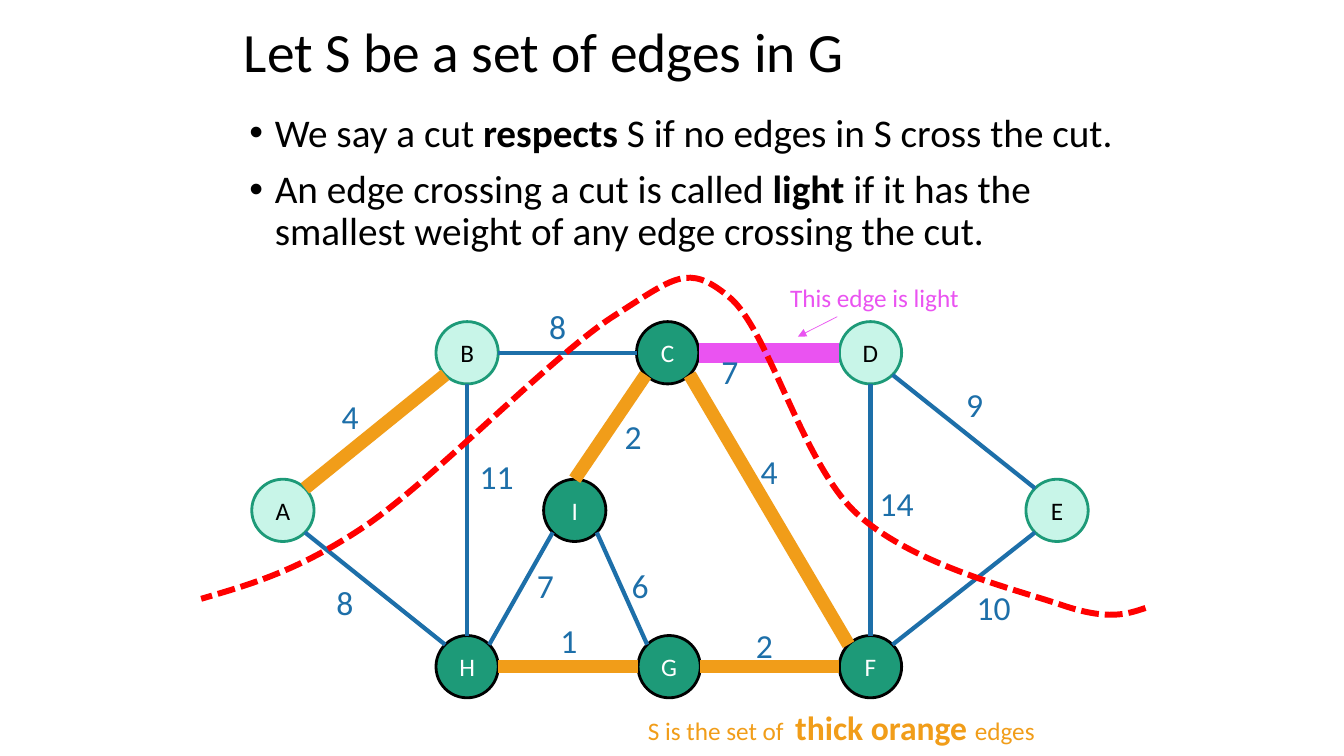
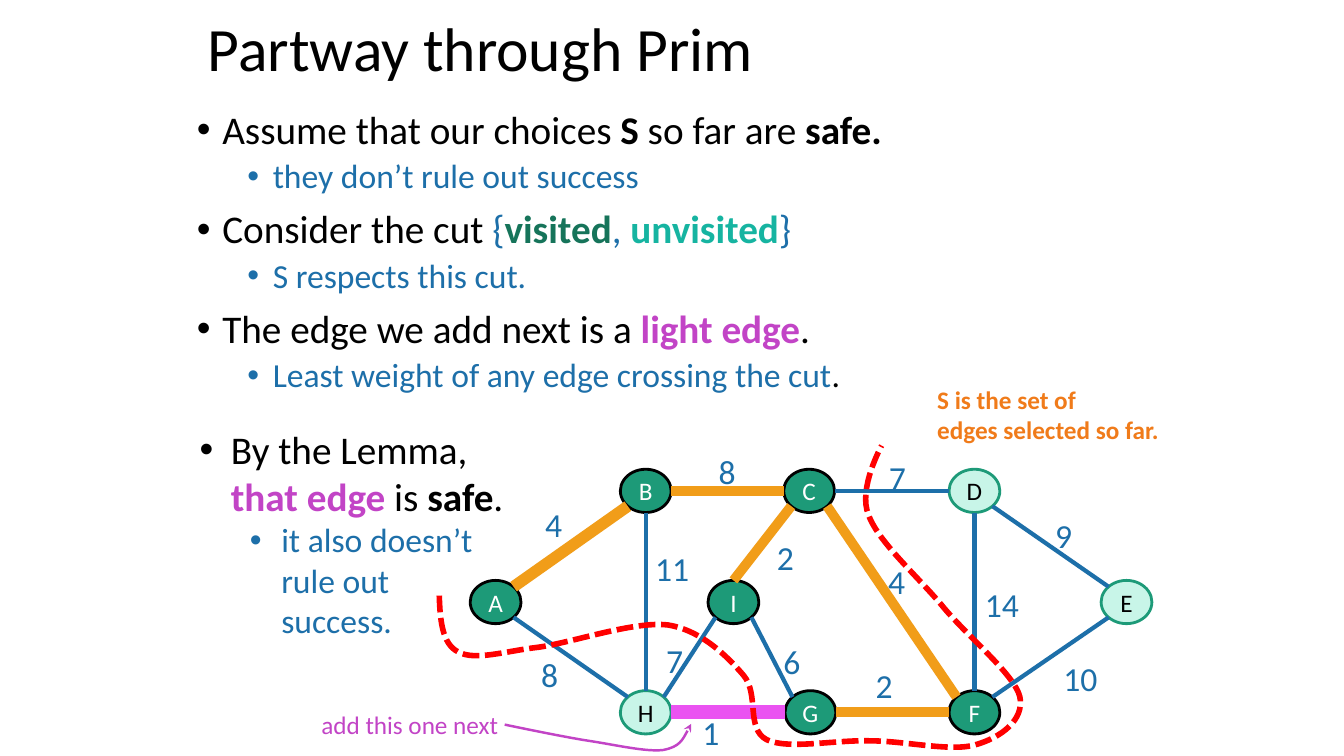
from dataclasses import dataclass
from math import sqrt

from pptx import Presentation
from pptx.dml.color import RGBColor
from pptx.enum.dml import MSO_LINE_DASH_STYLE as Dash
from pptx.enum.shapes import MSO_CONNECTOR as Connector, MSO_SHAPE as Preset
from pptx.enum.text import MSO_ANCHOR as Anchor, MSO_AUTO_SIZE as AutoSize, PP_ALIGN as Align
from pptx.oxml.ns import qn
from pptx.oxml.xmlchemy import OxmlElement
from pptx.util import Cm, Pt


@dataclass(frozen=True)
class Theme:
    font: str = "Calibri"
    bullet_font: str = "Arial"
    black: str = "000000"
    white: str = "FFFFFF"
    blue: str = "1D6FA9"
    green: str = "1D9A78"
    mint: str = "C8F5E8"
    orange: str = "F19D19"
    deep_orange: str = "F07B1A"
    pink: str = "EA53F1"
    purple: str = "C244C6"
    dark_green: str = "16745A"
    teal: str = "16B4A1"
    red: str = "FF0000"
    body: float = 28
    detail: float = 24
    small: float = 18


THEME = Theme()


@dataclass(frozen=True)
class Box:
    """A region of the page, in centimetres."""
    left: float
    top: float
    width: float
    height: float

    def lengths(self):
        return Cm(self.left), Cm(self.top), Cm(self.width), Cm(self.height)

    def point(self, x, y):
        return Cm(self.left + x), Cm(self.top + y)

    def inner(self, x, y, width, height):
        return Box(self.left + x, self.top + y, width, height)


@dataclass(frozen=True)
class Span:
    text: str
    color: str = THEME.black
    bold: bool = False
    size: float = 0
    tracking: float = 0


# Node centres in percent of the graph box
NODES = {"A": (0, 50.2), "B": (23.8, 0), "C": (49.7, 0), "D": (75.9, 0), "E": (100, 50.2),
         "F": (75.9, 100), "G": (49.9, 100), "H": (23.8, 100), "I": (37.7, 50.2)}
WEIGHTS = {"AB": 4, "BC": 8, "CD": 7, "DE": 9, "EF": 10, "DF": 14, "CF": 4,
           "FG": 2, "IC": 2, "GH": 1, "HI": 7, "IG": 6, "AH": 8, "BH": 11}
TOP_STARTS = {"IC"}


def rgb(color):
    return RGBColor.from_string(color)


def new_element(tag, **attributes):
    element = OxmlElement(tag)
    for name, value in attributes.items():
        element.set(name, str(value))
    return element


def write_spans(para, spans, size):
    for span in spans:
        run = para.add_run()
        run.text = span.text
        run.font.name = THEME.font
        run.font.size = Pt(span.size or size)
        run.font.bold = span.bold
        run.font.color.rgb = rgb(span.color)
        if span.tracking:
            run.font._element.set("spc", str(round(span.tracking * 100)))


def write_list(frame, items, indents, line_spacing=1.0, gaps=(0, 0)):
    """Fill a frame with bulleted (level, spans) items; gaps and indents go by level."""
    frame.word_wrap = True
    for number, (level, spans) in enumerate(items):
        para = frame.add_paragraph() if number else frame.paragraphs[0]
        para.level = level
        properties = para._p.get_or_add_pPr()
        properties.set("marL", str(Cm(indents[level])))
        properties.set("indent", str(-Cm(indents[0])))
        properties.append(new_element("a:buFont", typeface=THEME.bullet_font))
        properties.append(new_element("a:buChar", char="•"))
        para.line_spacing = line_spacing
        para.space_before = Pt(gaps[level] if number else 0)
        write_spans(para, spans, (THEME.body, THEME.detail)[level])


def add_text(page, box, *lines, size=THEME.small):
    frame = page.shapes.add_textbox(*box.lengths()).text_frame
    frame.word_wrap = True
    frame.auto_size = AutoSize.SHAPE_TO_FIT_TEXT
    for number, spans in enumerate(lines):
        write_spans(frame.add_paragraph() if number else frame.paragraphs[0], spans, size)


def add_arrowhead(shape, end, kind):
    shape.element.spPr.find(qn("a:ln")).append(new_element(f"a:{end}", type=kind))


def style_line(line, color, width):
    line.color.rgb = rgb(color)
    line.width = Pt(width)


def add_line(page, start, end, color, width):
    connector = page.shapes.add_connector(Connector.STRAIGHT, *start, *end)
    style_line(connector.line, color, width)
    connector.element.spPr.append(OxmlElement("a:effectLst"))
    return connector


def add_curve(page, box, points, color, width):
    """Draw chained cubic curves: a start, then two controls and an end for each."""
    parts = [points[first:first + 4] for first in range(0, len(points) - 1, 3)]
    shares = [((1 - t) ** 3, 3 * t * (1 - t) ** 2, 3 * t * t * (1 - t), t ** 3)
              for t in (step / 12 for step in range(1, 13))]
    trace = [box.point(*(sum(share * corner[axis] for share, corner in zip(row, part))
                         for axis in (0, 1))) for part in parts for row in shares]
    builder = page.shapes.build_freeform(*box.point(*points[0]))
    builder.add_line_segments(trace, close=False)
    curve = builder.convert_to_shape()
    outline = next(curve.element.spPr.iter(qn("a:path")))
    for segment in list(outline):
        outline.remove(segment)
    for tag, corners in [("a:moveTo", points[:1])] + [("a:cubicBezTo", part[1:]) for part in parts]:
        segment = OxmlElement(tag)
        for x, y in (box.point(*corner) for corner in corners):
            segment.append(new_element("a:pt", x=x - curve.left, y=y - curve.top))
        outline.append(segment)
    curve.shadow.inherit = False
    curve.fill.background()
    style_line(curve.line, color, width)
    return curve


def add_node(page, box, name, dark):
    node = page.shapes.add_shape(Preset.OVAL, *box.lengths())
    node.shadow.inherit = False
    node.fill.solid()
    node.fill.fore_color.rgb = rgb(THEME.green if dark else THEME.mint)
    style_line(node.line, THEME.black if dark else THEME.green, 2)
    frame = node.text_frame
    frame.margin_left = frame.margin_right = frame.margin_top = frame.margin_bottom = 0
    frame.vertical_anchor = Anchor.MIDDLE
    frame.paragraphs[0].alignment = Align.CENTER
    write_spans(frame.paragraphs[0], [Span(name, THEME.white if dark else THEME.black)], THEME.small)


def add_graph(page, box, node_size, dark_nodes, strokes, labels, label_width, low_labels=()):
    """Draw the weighted graph; the box runs through the centres of the outer nodes."""
    width, height = node_size
    centres = {name: (x * box.width / 100, y * box.height / 100) for name, (x, y) in NODES.items()}

    def rim(name, toward_x, toward_y):
        reach = 1 / sqrt(2) if toward_x and toward_y else 1
        x, y = centres[name]
        return box.point(x + toward_x * reach * width / 2, y + toward_y * reach * height / 2)

    def add_labels(edges):
        for edge in edges:
            add_text(page, box.inner(*labels[edge], label_width, 1.27),
                     [Span(str(WEIGHTS[edge]), THEME.blue)], size=THEME.detail)

    add_labels(low_labels)
    for name, (x, y) in centres.items():
        add_node(page, box.inner(x - width / 2, y - height / 2, width, height), name, name in dark_nodes)
    for edge in WEIGHTS:
        (x1, y1), (x2, y2) = (centres[name] for name in edge)
        across, down = (x2 > x1) - (x2 < x1), (y2 > y1) - (y2 < y1)
        start = rim(edge[0], 0 if edge in TOP_STARTS else across, down)
        add_line(page, start, rim(edge[1], -across, -down), *strokes.get(edge, (THEME.blue, 3)))
    add_labels(edge for edge in WEIGHTS if edge not in low_labels)


def add_page(deck, title, title_box, title_size, body_box, items):
    page = deck.slides.add_slide(deck.slide_layouts[1])
    heading, body = page.placeholders
    for shape, box in ((heading, title_box), (body, body_box)):
        shape.left, shape.top, shape.width, shape.height = box.lengths()
        shape.text_frame.auto_size = AutoSize.NONE
    heading.text_frame.vertical_anchor = Anchor.MIDDLE
    para = heading.text_frame.paragraphs[0]
    para.alignment = Align.LEFT
    para.line_spacing = 0.9
    write_spans(para, [Span(title)], title_size)
    write_list(body.text_frame, items, (0.64, 1.91), line_spacing=0.9, gaps=(10, 5))
    return page


def add_light_edge_page(deck):
    orange, pink = THEME.orange, THEME.pink
    page = add_page(
        deck, "Let S be a set of edges in G", Box(5.89, 0.43, 21.89, 1.88), 39.6,
        Box(6.03, 2.73, 22.86, 3.96), [
            (0, [Span("We say a cut "), Span("respects", bold=True),
                 Span(" S if no edges in S cross the cut.")]),
            (0, [Span("An edge crossing a cut is called "), Span("light ", bold=True),
                 Span("if it has the smallest weight of any edge crossing the cut.")])])
    graph = Box(7.13, 8.89, 19.51, 7.91)
    strokes = dict.fromkeys(("AB", "IC", "CF", "FG", "GH"), (orange, 9.5)) | {"CD": (pink, 14)}
    labels = {
        "AB": (1.23, 0.97), "BC": (6.46, -1.3), "CD": (10.8, -0.18), "DE": (16.97, 0.66),
        "EF": (17.23, 5.78), "DF": (14.79, 3.15), "CF": (11.79, 2.34), "FG": (11.67, 6.72),
        "IC": (8.36, 1.47), "GH": (6.74, 6.6), "HI": (6.15, 5.22), "IG": (8.54, 5.21),
        "AH": (1.1, 5.66), "BH": (4.71, 2.48)}
    add_graph(page, graph, (1.57, 1.57), "CFGHI", strokes, labels, 2.18)
    cut = add_curve(page, graph, [
        (21.74, 6.43), (21.29, 6.58), (20.8, 6.76), (19.61, 6.35), (18.39, 5.94), (15.85, 5.33),
        (14.45, 4.04), (13.06, 2.74), (12.24, -0.61), (11.23, -1.42), (10.21, -2.26), (9.88, -1.91),
        (8.36, -0.94), (6.83, 0.03), (3.84, 3.15), (2.11, 4.34), (0.38, 5.51), (-0.84, 5.84),
        (-2.06, 6.2)], THEME.red, 4.25)
    cut.line.dash_style = Dash.SQUARE_DOT
    add_text(page, graph.inner(8.95, 8.79, 11.23, 1.27), [
        Span("S is the set of", orange), Span(" ", orange, tracking=4),
        Span("thick orange ", orange, True, THEME.detail), Span("edges", orange)])
    add_text(page, graph.inner(12.53, -1.91, 5.54, 1.02), [Span("This edge is light", pink)])
    pointer = add_line(page, graph.point(13.97, -0.91), graph.point(12.98, -0.41), pink, 0.5)
    add_arrowhead(pointer, "tailEnd", "triangle")


def add_prim_page(deck):
    blue, orange, purple = THEME.blue, THEME.orange, THEME.purple
    page = add_page(
        deck, "Partway through Prim", Box(4.98, -0.53, 24.84, 3.68), 44, Box(4.71, 2.65, 21.89, 12.09), [
            (0, [Span("Assume that our choices "), Span("S", bold=True), Span(" so far are "),
                 Span("safe.", bold=True)]),
            (1, [Span("they don’t rule out success", blue)]),
            (0, [Span("Consider the cut "), Span("{", blue), Span("visited", THEME.dark_green, True),
                 Span(", ", blue), Span("unvisited", THEME.teal, True), Span("}", blue)]),
            (1, [Span("S respects this cut.", blue)]),
            (0, [Span("The edge we add next is a "), Span("light edge", purple, True), Span(".")]),
            (1, [Span("Least weight of any edge crossing the cut", blue), Span(".")])])
    graph = Box(12.49, 12.37, 15.9, 5.58)
    strokes = dict.fromkeys(("BC", "IC", "CF", "FG"), (orange, 7))
    strokes |= {"AB": (orange, 8.25), "GH": (THEME.pink, 10)}
    labels = {
        "AB": (1, 0.2), "BC": (5.37, -1.14), "CD": (9.66, -0.99), "DE": (13.85, 0.48),
        "EF": (14.06, 4.09), "DF": (12.08, 2.21), "CF": (9.64, 1.65), "FG": (9.33, 4.27),
        "IC": (6.84, 1.04), "GH": (4.96, 5.44), "HI": (4.05, 3.63), "IG": (7, 3.66),
        "AH": (0.9, 3.99), "BH": (3.77, 1.3)}
    add_graph(page, graph, (1.28, 1.09), "ABCFGI", strokes, labels, 1.78, ("CD", "BC"))
    cut = add_curve(page, graph, [
        (-1.42, 2.64), (-1.4, 3.25), (-1.35, 3.86), (-0.94, 4.06), (-0.51, 4.29), (0.23, 4.04),
        (1.09, 3.94), (1.98, 3.81), (3.48, 3.28), (4.34, 3.38), (5.18, 3.51), (5.84, 4.17),
        (6.25, 4.65), (6.65, 5.13), (6.3, 5.99), (6.83, 6.27), (7.37, 6.53), (8.56, 6.27),
        (9.45, 6.3), (10.31, 6.3), (11.48, 6.58), (12.09, 6.4), (12.73, 6.22), (13.34, 5.77),
        (13.21, 5.18), (13.06, 4.62), (11.94, 3.71), (11.3, 2.95), (10.67, 2.18), (9.65, 1.3),
        (9.4, 0.61), (9.12, -0.05), (9.73, -1.14), (9.73, -1.14)], THEME.red, 4)
    cut.line.dash_style = Dash.SQUARE_DOT
    add_text(page, graph.inner(10.88, -2.82, 6.38, 1.8), *(
        [Span(line, THEME.deep_orange, True)] for line in ("S is the set of", "edges selected so far.")))
    add_text(page, graph.inner(-4.64, 5.38, 5.61, 1.02), [Span("add this one next", purple)])
    pointer = add_curve(page, graph, [
        (4.93, 5.87), (4.78, 6.15), (4.65, 6.45), (4.22, 6.53), (3.78, 6.58), (3.02, 6.4),
        (2.36, 6.3), (1.7, 6.2), (0.23, 5.89), (0.23, 5.89)], purple, 1.75)
    add_arrowhead(pointer, "headEnd", "stealth")
    lemma = page.shapes.add_textbox(*Box(4.78, 10.59, 8.26, 5.74).lengths())
    write_list(lemma.text_frame, [
        (0, [Span("By the Lemma, "), Span("that edge ", purple, True), Span("is "),
             Span("safe", bold=True), Span(".")]),
        (1, [Span("it also doesn’t rule out success.", blue)])], (0.79, 2.06))


def main():
    deck = Presentation()
    deck.slide_width, deck.slide_height = Cm(33.87), Cm(19.05)
    add_light_edge_page(deck)
    add_prim_page(deck)
    deck.save("out.pptx")


if __name__ == "__main__":
    main()
